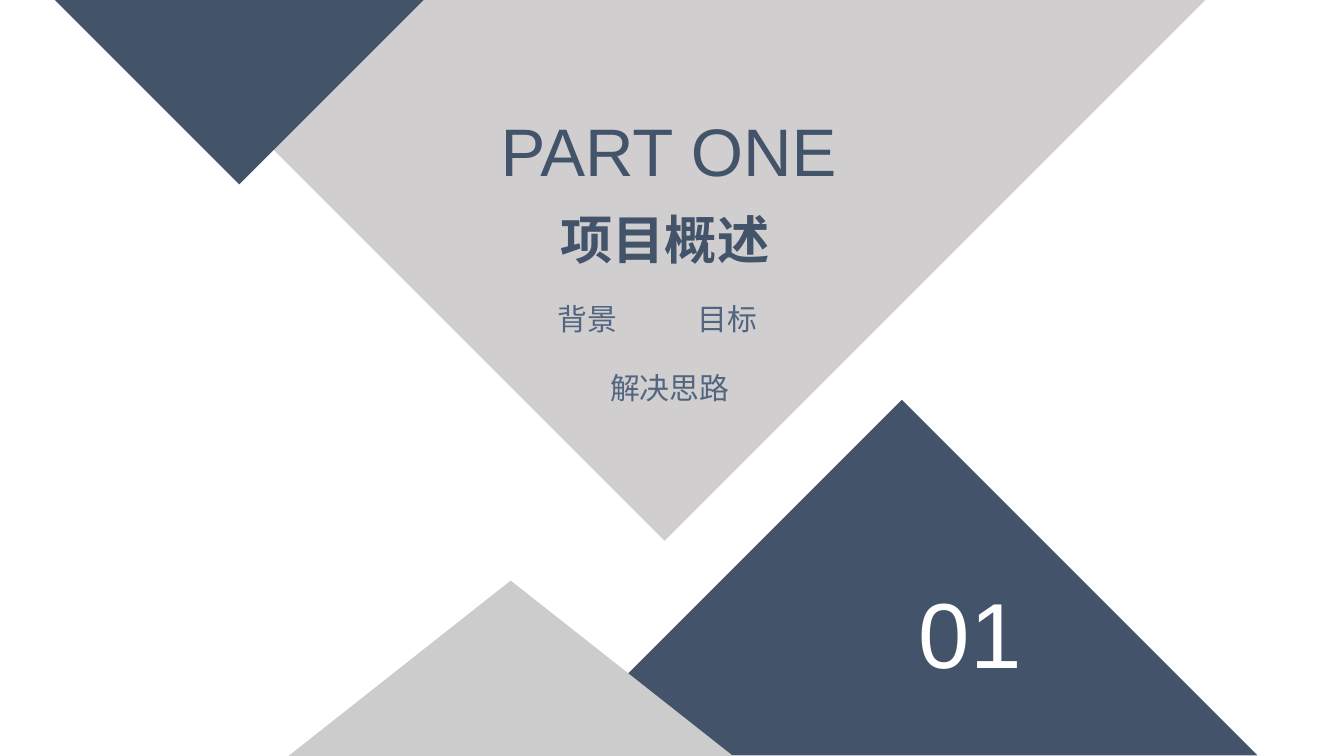
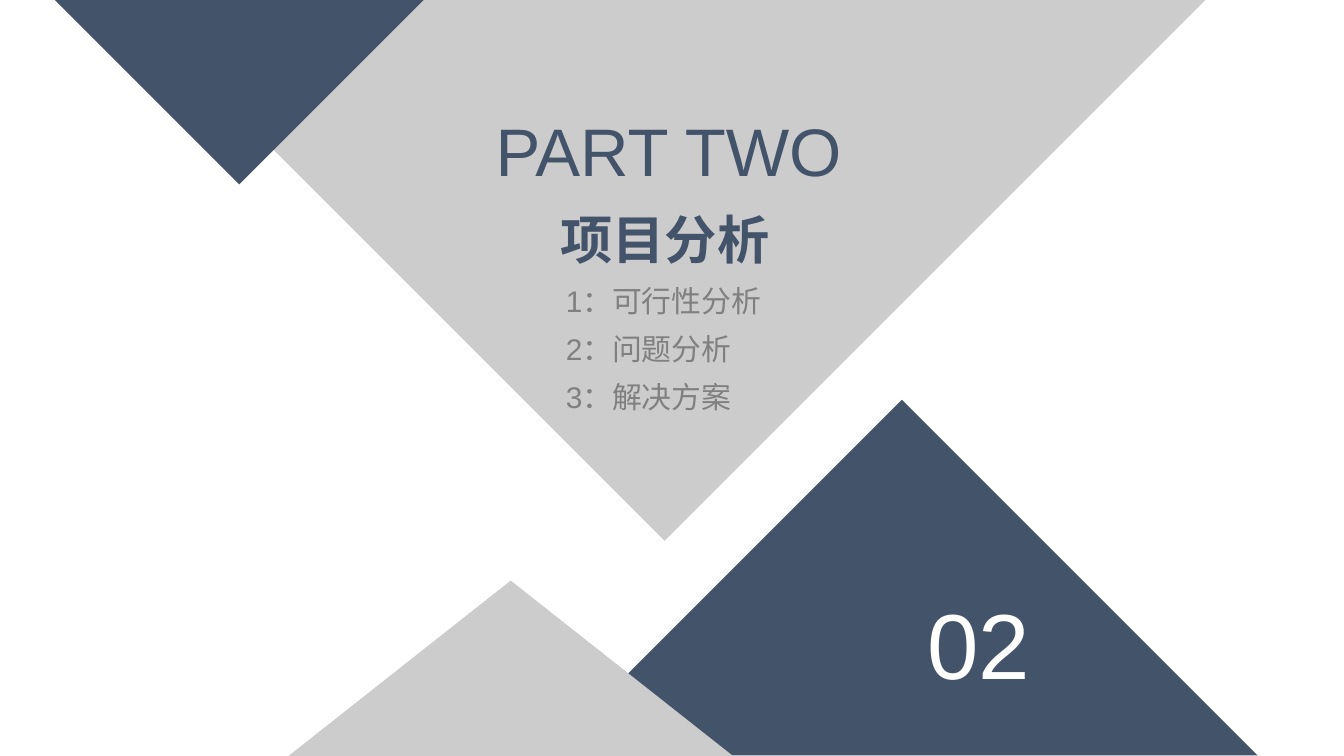
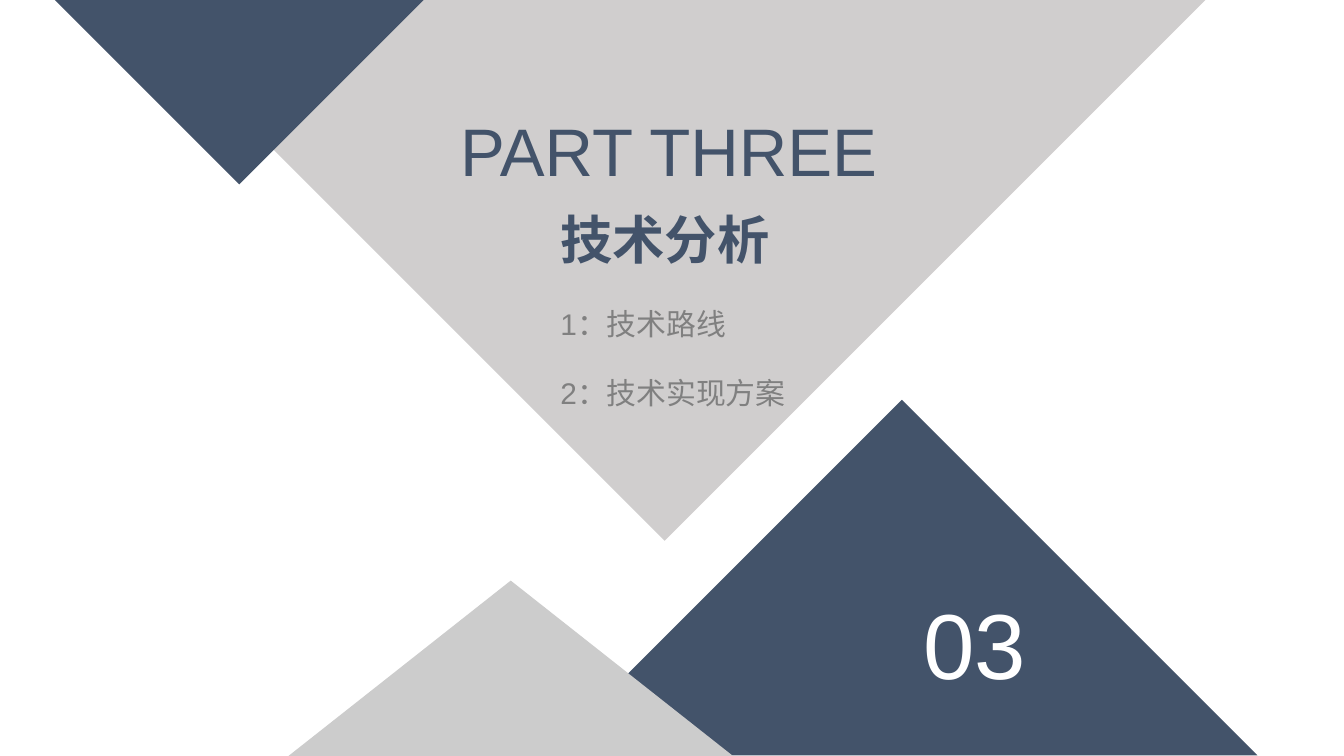
"""Build three section divider slides with overlapping triangles."""
from dataclasses import dataclass

from pptx import Presentation
from pptx.dml.color import RGBColor
from pptx.enum.shapes import MSO_SHAPE as Preset
from pptx.enum.text import MSO_ANCHOR as Anchor, MSO_AUTO_SIZE as AutoSize, PP_ALIGN as Align
from pptx.util import Emu, Pt

EMU_PER_PX = 4572
FONT = "Arial"
COLORS = {
    "navy": "43536A",
    "slate": "526580",
    "warm": "D0CECE",
    "silver": "CCCCCC",
    "gray": "808080",
    "white": "FFFFFF",
}
SECTION_LAYOUT = 2
HEADING_CENTER = 995
WORD_GAP = 3950


@dataclass(frozen=True)
class Box:
    left: int
    top: int
    width: int
    height: int


@dataclass(frozen=True)
class Triangle:
    preset: Preset
    box: Box
    color: str
    rotation: int = 0


@dataclass(frozen=True)
class TextStyle:
    size: float
    color: str
    bold: bool = False
    align: Align = Align.LEFT


@dataclass(frozen=True)
class Item:
    words: tuple[str, ...]
    indent: int = 0


@dataclass(frozen=True)
class Section:
    number: str
    number_left: int
    number_top: int
    heading: str
    heading_width: int
    title: str
    backdrop: str
    items: tuple[Item, ...]
    item_color: str
    list_left: int
    list_top: int
    item_gap: int


TITLE_BOX = Box(814, 298, 394, 114)
TITLE_STYLE = TextStyle(28, "navy", bold=True)
HEADING_STYLE = TextStyle(36, "navy", align=Align.CENTER)
NUMBER_STYLE = TextStyle(49.5, "white", align=Align.CENTER)

ACCENTS = (
    Triangle(Preset.RIGHT_TRIANGLE, Box(968, 750, 748, 748), "navy", 135),
    Triangle(Preset.RIGHT_TRIANGLE, Box(162, -194, 388, 388), "navy", 315),
    Triangle(Preset.ISOSCELES_TRIANGLE, Box(428, 864, 664, 262), "silver"),
)

SECTIONS = (
    Section("01", 1268, 848, "PART ONE", 546, "项目概述", "warm",
            (Item(("背景", "目标")), Item(("解决思路",), 78)), "slate", 830, 434, 36),
    Section("02", 1280, 864, "PART TWO", 568, "项目分析", "silver",
            (Item(("1：可行性分析",)), Item(("2：问题分析",)), Item(("3：解决方案",))),
            "gray", 842, 407, 5),
    Section("03", 1274, 864, "PART THREE", 674, "技术分析", "warm",
            (Item(("1：技术路线",)), Item(("2：技术实现方案",))), "gray", 834, 442, 36),
)


def px(length: int) -> Emu:
    """Turn pixels into EMU."""
    return Emu(length * EMU_PER_PX)


def rgb(name: str) -> RGBColor:
    """Look up a colour by name."""
    return RGBColor.from_string(COLORS[name])


def place(shape, box: Box) -> None:
    """Move and size a shape."""
    shape.left, shape.top = px(box.left), px(box.top)
    shape.width, shape.height = px(box.width), px(box.height)


def bring_to_front(shape) -> None:
    """Put a shape above all others on its slide."""
    shape.element.getparent().append(shape.element)


def style_paragraph(paragraph, style: TextStyle) -> None:
    """Apply font and alignment to a paragraph."""
    paragraph.alignment = style.align
    font = paragraph.font
    font.name, font.size, font.bold = FONT, Pt(style.size), style.bold
    font.color.rgb = rgb(style.color)


def write_line(shape, text: str, style: TextStyle, wrap: bool = True) -> None:
    """Fill a shape with one styled line anchored at the top."""
    frame = shape.text_frame
    frame.text = text
    frame.word_wrap = wrap
    frame.vertical_anchor = Anchor.TOP
    frame.auto_size = AutoSize.SHAPE_TO_FIT_TEXT
    style_paragraph(frame.paragraphs[0], style)


def add_triangle(slide, triangle: Triangle) -> None:
    """Draw a flat triangle."""
    box = triangle.box
    shape = slide.shapes.add_shape(
        triangle.preset, px(box.left), px(box.top), px(box.width), px(box.height))
    shape.rotation = triangle.rotation
    shape.shadow.inherit = False
    shape.fill.solid()
    shape.fill.fore_color.rgb = rgb(triangle.color)
    shape.line.fill.background()


def add_label(slide, box: Box, text: str, style: TextStyle, wrap: bool = True) -> None:
    """Add a one-line text box."""
    label = slide.shapes.add_textbox(px(box.left), px(box.top), px(box.width), px(box.height))
    write_line(label, text, style, wrap)


def write_words(paragraph, words: tuple[str, ...]) -> None:
    """Write words with a wide, letter-spaced gap between them."""
    for index, word in enumerate(words):
        if index:
            gap = paragraph.add_run()
            gap.text = " "
            gap._r.get_or_add_rPr().set("spc", str(WORD_GAP))
        paragraph.add_run().text = word


def fill_list(body, section: Section) -> None:
    """Write the section's topics into the body placeholder."""
    place(body, Box(section.list_left, section.list_top, 420, 220))
    frame = body.text_frame
    frame.word_wrap = True
    frame.auto_size = AutoSize.NONE
    frame.vertical_anchor = Anchor.TOP
    frame.margin_left = frame.margin_right = frame.margin_top = frame.margin_bottom = 0
    for index, item in enumerate(section.items):
        paragraph = frame.add_paragraph() if index else frame.paragraphs[0]
        write_words(paragraph, item.words)
        paragraph.line_spacing = Pt(24)
        paragraph.space_before = Pt(0)
        paragraph.space_after = px(section.item_gap)
        properties = paragraph._p.get_or_add_pPr()
        properties.set("marL", str(px(item.indent)))
        properties.set("indent", "0")
        style_paragraph(paragraph, TextStyle(16, section.item_color))


def add_section(presentation, section: Section) -> None:
    """Build one divider slide."""
    slide = presentation.slides.add_slide(presentation.slide_layouts[SECTION_LAYOUT])
    backdrop = Triangle(Preset.RIGHT_TRIANGLE, Box(420, -569, 1138, 1138), section.backdrop, 315)
    for triangle in (backdrop, *ACCENTS):
        add_triangle(slide, triangle)

    add_label(slide, Box(section.number_left, section.number_top, 352, 186),
              section.number, NUMBER_STYLE)
    heading_left = HEADING_CENTER - section.heading_width // 2
    add_label(slide, Box(heading_left, 153, section.heading_width, 142),
              section.heading, HEADING_STYLE, wrap=False)

    title, body = slide.shapes.title, slide.placeholders[1]
    place(title, TITLE_BOX)
    write_line(title, section.title, TITLE_STYLE)
    fill_list(body, section)
    bring_to_front(title)
    bring_to_front(body)


def main() -> None:
    """Create and save the presentation."""
    presentation = Presentation()
    presentation.slide_width, presentation.slide_height = px(2000), px(1125)
    for section in SECTIONS:
        add_section(presentation, section)
    presentation.save("out.pptx")


if __name__ == "__main__":
    main()
